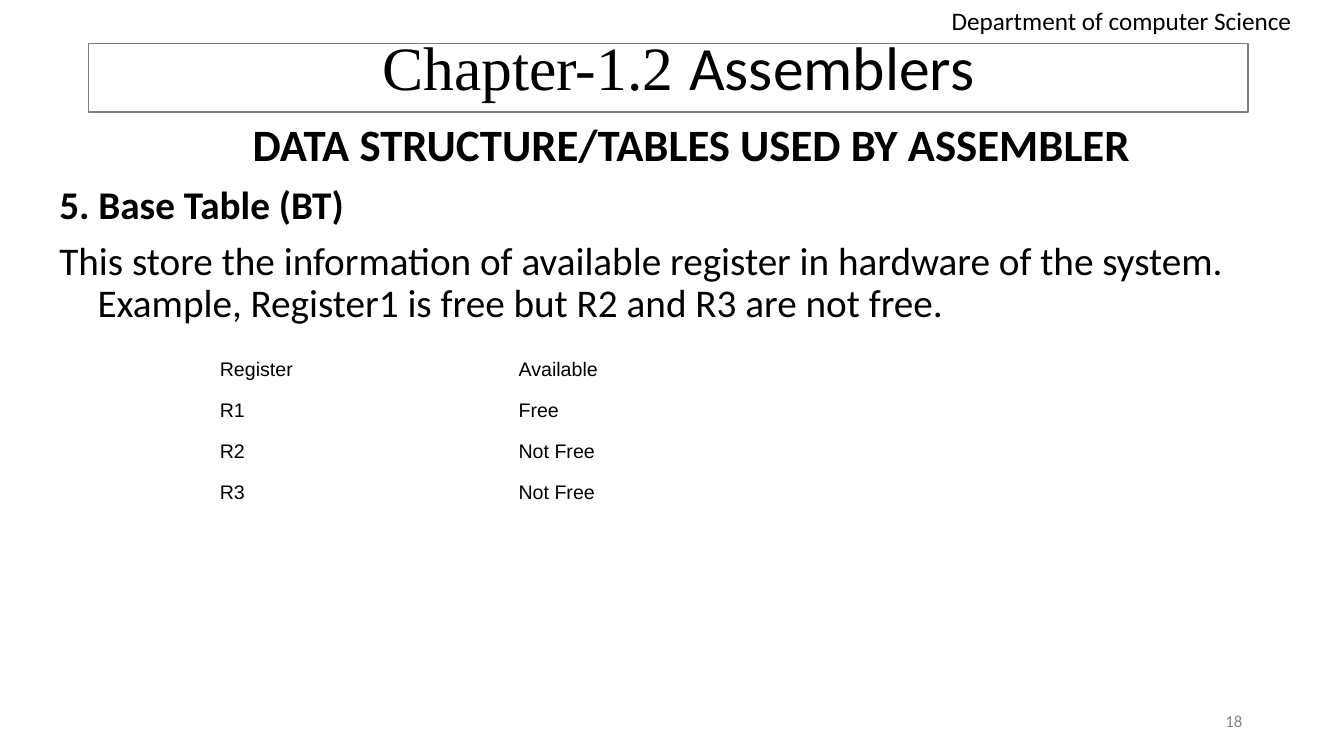
"""Build the Base Table slide of the assemblers chapter."""
from dataclasses import dataclass

from pptx import Presentation
from pptx.dml.color import RGBColor
from pptx.enum import shapes, text
from pptx.util import Inches, Pt


@dataclass(frozen=True)
class Theme:
    """Colours, fonts and type sizes of the slide."""
    ink: str = "000000"
    muted: str = "888888"
    frame: str = "7F7F7F"
    body_font: str = "Calibri"
    title_font: str = "Times New Roman"
    table_font: str = "Arial"
    title: int = 44
    heading: int = 32
    body: int = 28
    label: int = 18
    cell: int = 14
    number: int = 12


THEME = Theme()
ALIGN = text.PP_ALIGN
ANCHOR = text.MSO_ANCHOR
REGISTERS = [
    ("Register", "Available", ""),
    ("R1", "Free", ""),
    ("R2", "Not Free", ""),
    ("R3", "Not Free", ""),
]
BODY = [
    ("DATA STRUCTURE/TABLES USED BY ASSEMBLER ", THEME.heading, True, ALIGN.CENTER),
    ("5. Base Table (BT)", THEME.body, True, ALIGN.LEFT),
    ("This store the information of available register in hardware of the system. "
     "Example, Register1 is free but R2 and R3 are not free.",
     THEME.body, False, ALIGN.LEFT),
]


def style(font, size, name=THEME.body_font, color=THEME.ink, bold=False):
    """Set the face, size, colour and weight of a font."""
    font.name = name
    font.size = Pt(size)
    font.bold = bold
    font.color.rgb = RGBColor.from_string(color)


def add_title(page):
    """Place the title and give each part its typeface."""
    title = page.shapes.title
    title.left, title.top = Inches(0.98), Inches(0)
    title.width, title.height = Inches(11.5), Inches(1.4)
    title.text_frame.vertical_anchor = ANCHOR.MIDDLE
    title.text_frame.auto_size = text.MSO_AUTO_SIZE.NONE
    para = title.text_frame.paragraphs[0]
    para.alignment = ALIGN.CENTER
    para.line_spacing = 0.9
    for words, name in (("Chapter-1.2 ", THEME.title_font),
                        ("Assemblers", THEME.body_font)):
        span = para.add_run()
        span.text = words
        style(span.font, THEME.title, name)


def add_box(page, left, top, width, height, anchor=ANCHOR.TOP):
    """Add a wrapping text box and return its text frame."""
    box = page.shapes.add_textbox(Inches(left), Inches(top), Inches(width), Inches(height))
    box.text_frame.word_wrap = True
    box.text_frame.vertical_anchor = anchor
    return box.text_frame


def add_body(page):
    """Add the heading and paragraphs with hanging indents."""
    frame = add_box(page, 0.37, 1.17, 12.96, 6.33)
    for index, (words, size, bold, align) in enumerate(BODY):
        para = frame.add_paragraph() if index else frame.paragraphs[0]
        para.text = words
        para.alignment = align
        para.line_spacing = 0.9
        para.space_before = Pt(10 if index else 0)
        properties = para._p.get_or_add_pPr()
        properties.set("marL", str(Inches(0.5)))
        properties.set("indent", str(Inches(-0.38)))
        style(para.runs[0].font, size, bold=bold)


def add_frame(page):
    """Add the outlined rectangle around the title."""
    frame = page.shapes.add_shape(shapes.MSO_SHAPE.RECTANGLE, Inches(0.88),
                                  Inches(0.43), Inches(11.5), Inches(0.68))
    frame.shadow.inherit = False
    frame.fill.background()
    frame.line.color.rgb = RGBColor.from_string(THEME.frame)
    frame.line.width = Pt(1)


def add_label(page, words, place, size, color, align, anchor):
    """Add a single-line label."""
    frame = add_box(page, *place, anchor=anchor)
    frame.text = words
    para = frame.paragraphs[0]
    para.alignment = align
    style(para.runs[0].font, size, color=color)


def add_register_table(page):
    """Add the plain table of register availability."""
    graphic = page.shapes.add_table(len(REGISTERS), len(REGISTERS[0]), Inches(2.08),
                                    Inches(3.51), Inches(8.89), Inches(1.62))
    table = graphic.table
    table.first_row = False
    table.horz_banding = False
    for row, values in enumerate(REGISTERS):
        for column, value in enumerate(values):
            cell = table.cell(row, column)
            cell.fill.background()
            cell.text = value
            style(cell.text_frame.paragraphs[0].font, THEME.cell, THEME.table_font)


def main():
    """Assemble and save the slide."""
    deck = Presentation()
    deck.slide_width, deck.slide_height = Inches(13.33), Inches(7.5)
    page = deck.slides.add_slide(deck.slide_layouts[5])
    add_title(page)
    add_body(page)
    add_frame(page)
    add_label(page, "Department of computer Science", (9.34, 0, 3.61, 0.4),
              THEME.label, THEME.ink, ALIGN.LEFT, ANCHOR.TOP)
    add_label(page, "18", (9.42, 6.95, 3, 0.4),
              THEME.number, THEME.muted, ALIGN.RIGHT, ANCHOR.MIDDLE)
    add_register_table(page)
    deck.save("out.pptx")


if __name__ == "__main__":
    main()
